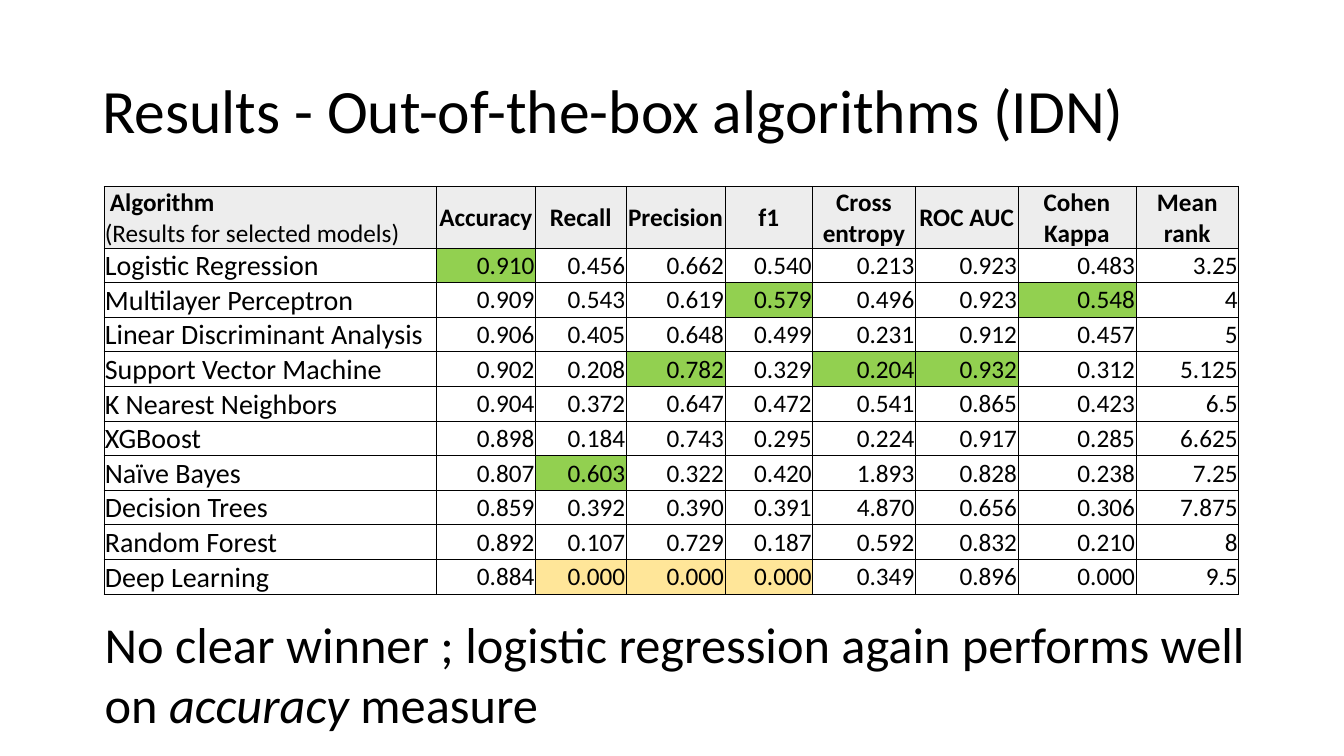
from lxml import etree
from pptx import Presentation
from pptx.dml.color import RGBColor
from pptx.enum.text import MSO_ANCHOR, MSO_AUTO_SIZE, PP_ALIGN
from pptx.oxml.ns import qn
from pptx.util import Pt

FONT = "Calibri"
COLORS = {
    "text": "000000",
    "border": "000000",
    "header": "EDEDED",
    "best": "92D050",
    "zero": "FFE699",
}
HEADERS = ["Accuracy", "Recall", "Precision", "f1", "Cross entropy",
           "ROC AUC", "Cohen Kappa", "Mean rank"]
RESULTS = [
    ("Logistic Regression", "0.910 0.456 0.662 0.540 0.213 0.923 0.483 3.25"),
    ("Multilayer Perceptron", "0.909 0.543 0.619 0.579 0.496 0.923 0.548 4"),
    ("Linear Discriminant Analysis", "0.906 0.405 0.648 0.499 0.231 0.912 0.457 5"),
    ("Support Vector Machine", "0.902 0.208 0.782 0.329 0.204 0.932 0.312 5.125"),
    ("K Nearest Neighbors", "0.904 0.372 0.647 0.472 0.541 0.865 0.423 6.5"),
    ("XGBoost", "0.898 0.184 0.743 0.295 0.224 0.917 0.285 6.625"),
    ("Naïve Bayes", "0.807 0.603 0.322 0.420 1.893 0.828 0.238 7.25"),
    ("Decision Trees", "0.859 0.392 0.390 0.391 4.870 0.656 0.306 7.875"),
    ("Random Forest", "0.892 0.107 0.729 0.187 0.592 0.832 0.210 8"),
    ("Deep Learning", "0.884 0.000 0.000 0.000 0.349 0.896 0.000 9.5"),
]
ZERO_MARKED = ("Recall", "Precision", "f1")
COLUMN_WIDTHS = [237.6, 70.6, 64.8, 70.6, 62.6, 73.4, 73.4, 84.2, 73.4]
HEADER_HEIGHT, ROW_HEIGHT, TABLE_HEIGHT = 43.2, 23, 291.6


def add_run(paragraph, text, size, bold=False, italic=False):
    run = paragraph.add_run()
    run.text = text
    run.font.name = FONT
    run.font.size = Pt(size)
    run.font.bold = bold
    run.font.italic = italic
    run.font.color.rgb = RGBColor.from_string(COLORS["text"])


def add_text(slide, left, top, width, height, runs, size):
    """Add a wrapping text box; runs are (text, italic) pairs."""
    shape = slide.shapes.add_textbox(Pt(left), Pt(top), Pt(width), Pt(height))
    text_frame = shape.text_frame
    text_frame.word_wrap = True
    for text, italic in runs:
        add_run(text_frame.paragraphs[0], text, size, italic=italic)
    return text_frame


def set_borders(cell, thick_sides=()):
    properties = cell._tc.get_or_add_tcPr()
    for index, side in enumerate(("lnL", "lnR", "lnT", "lnB")):
        width = Pt(1 if side in thick_sides else 0.5)
        line = etree.Element(qn(f"a:{side}"), w=str(width))
        fill = etree.SubElement(line, qn("a:solidFill"))
        etree.SubElement(fill, qn("a:srgbClr"), val=COLORS["border"])
        properties.insert(index, line)


def format_cell(cell, fill=None, thick_sides=()):
    cell.vertical_anchor = MSO_ANCHOR.MIDDLE
    cell.margin_left = cell.margin_right = cell.margin_top = Pt(0.7)
    cell.margin_bottom = Pt(0)
    if fill:
        cell.fill.solid()
        cell.fill.fore_color.rgb = RGBColor.from_string(COLORS[fill])
    else:
        cell.fill.background()
    set_borders(cell, thick_sides)


def fill_cell(cell, text, size, align, bold=False, fill=None, thick_sides=()):
    paragraph = cell.text_frame.paragraphs[0]
    paragraph.alignment = align
    add_run(paragraph, text, size, bold)
    format_cell(cell, fill, thick_sides)


def fill_corner(cell):
    title = cell.text_frame.paragraphs[0]
    add_run(title, " ", 16)
    add_run(title, "Algorithm", 18, bold=True)
    add_run(cell.text_frame.add_paragraph(), "(Results for selected models)", 18)
    format_cell(cell, "header")


def best_values():
    """Map each metric to its best score; lower is better for cross entropy."""
    columns = zip(*(scores.split() for _, scores in RESULTS))
    return {
        header: (min if header == "Cross entropy" else max)(column, key=float)
        for header, column in zip(HEADERS, columns)
        if header != "Mean rank"
    }


def add_results_table(slide):
    frame = slide.shapes.add_table(
        len(RESULTS) + 1, len(COLUMN_WIDTHS), Pt(74.2), Pt(133.2),
        Pt(sum(COLUMN_WIDTHS)), Pt(TABLE_HEIGHT))
    table = frame.table
    table.horz_banding = False
    for column, width in zip(table.columns, COLUMN_WIDTHS):
        column.width = Pt(width)
    for index, row in enumerate(table.rows):
        row.height = Pt(ROW_HEIGHT if index else HEADER_HEIGHT)
    frame.height = Pt(TABLE_HEIGHT)

    fill_corner(table.cell(0, 0))
    for column, header in enumerate(HEADERS, 1):
        thick_sides = ("lnT", "lnR") if header == "Mean rank" else ()
        fill_cell(table.cell(0, column), header, 18, PP_ALIGN.CENTER,
                  bold=True, fill="header", thick_sides=thick_sides)

    best = best_values()
    for row, (algorithm, scores) in enumerate(RESULTS, 1):
        fill_cell(table.cell(row, 0), algorithm, 20, PP_ALIGN.LEFT)
        for column, (header, score) in enumerate(zip(HEADERS, scores.split()), 1):
            fill = None
            if score == best.get(header):
                fill = "best"
            elif header in ZERO_MARKED and float(score) == 0:
                fill = "zero"
            fill_cell(table.cell(row, column), score, 18, PP_ALIGN.RIGHT, fill=fill)


def main():
    presentation = Presentation()
    presentation.slide_width, presentation.slide_height = Pt(960), Pt(540)
    slide = presentation.slides.add_slide(presentation.slide_layouts[6])

    title = add_text(slide, 66, 28.8, 828, 104.4,
                     [("Results - Out-of-the-box algorithms (IDN)", False)], 44)
    title.vertical_anchor = MSO_ANCHOR.MIDDLE
    title.paragraphs[0].line_spacing = 0.9

    conclusion = add_text(slide, 67.7, 434.2, 832.3, 94.3, [
        ("No clear winner ; logistic regression again performs well on ", False),
        ("accuracy", True),
        (" measure", False),
    ], 36)
    conclusion.auto_size = MSO_AUTO_SIZE.SHAPE_TO_FIT_TEXT

    add_results_table(slide)
    presentation.save("out.pptx")


if __name__ == "__main__":
    main()
